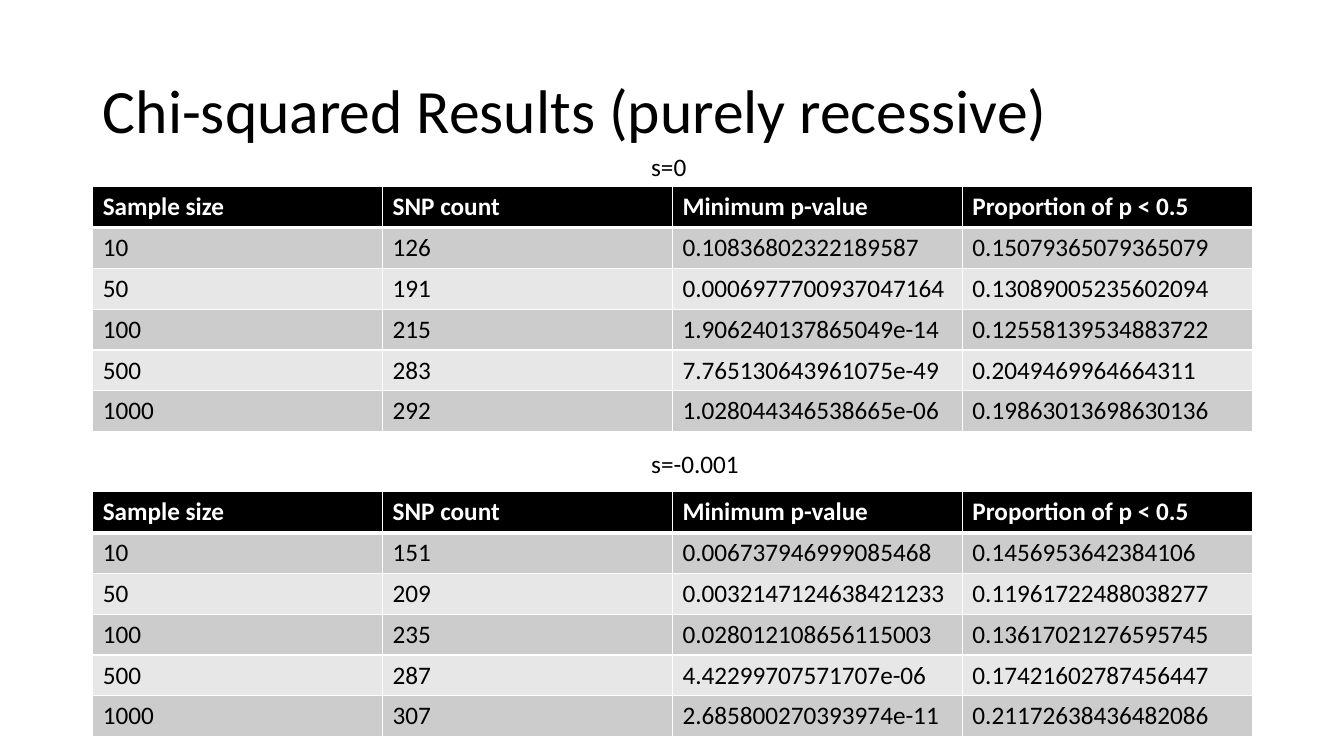
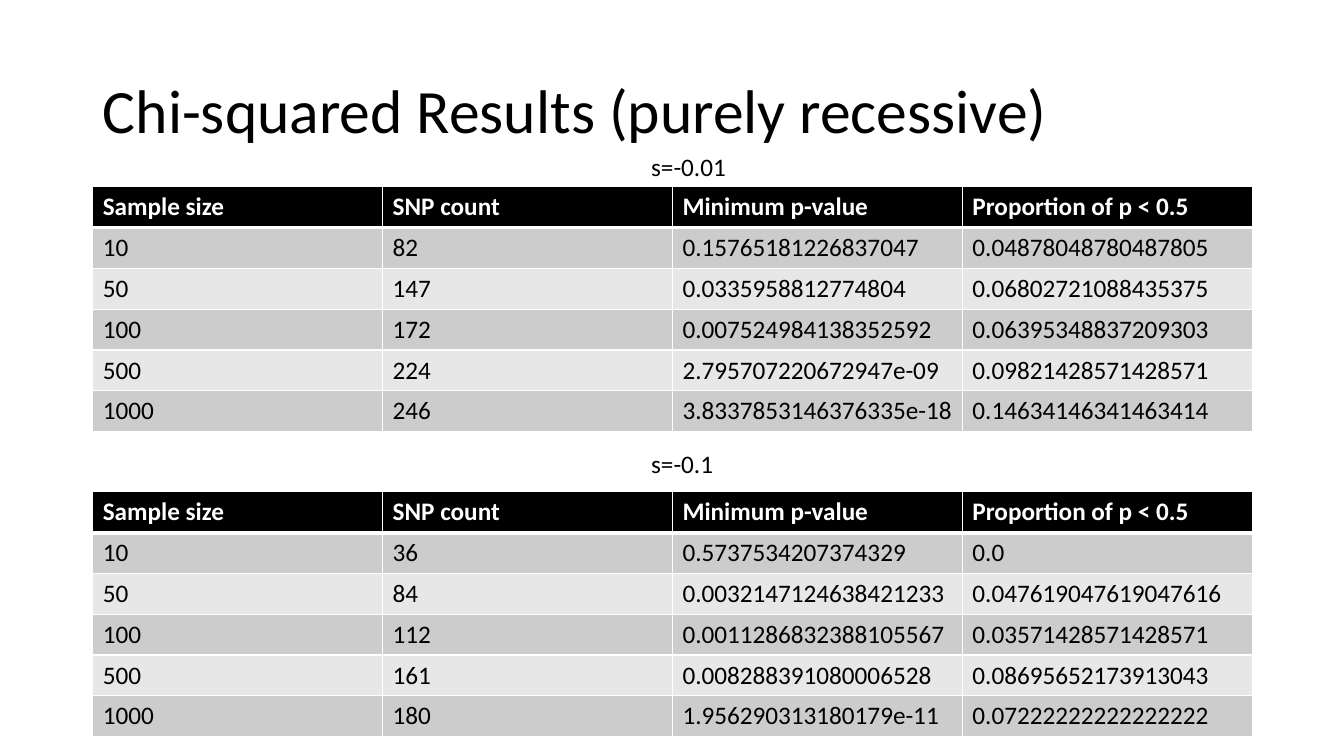
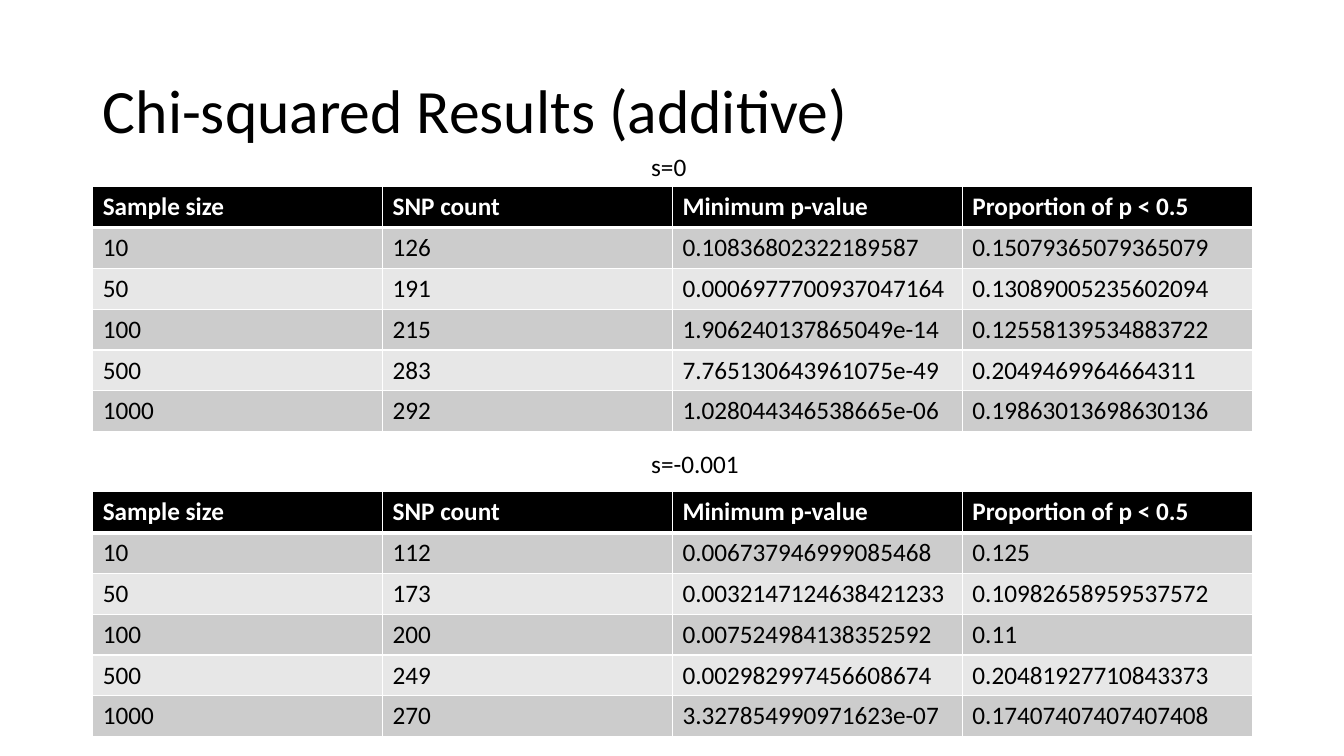
from lxml.etree import SubElement
from pptx import Presentation
from pptx.dml.color import RGBColor
from pptx.enum.text import MSO_ANCHOR, MSO_AUTO_SIZE, PP_ALIGN
from pptx.oxml.ns import qn
from pptx.util import Pt

SCALE = 9144
FONT = "Calibri"
BLACK, WHITE = "000000", "FFFFFF"
BANDS = ["E7E7E7", "CCCCCC"]
LEFT, WIDTH, TABLE_HEIGHT = 92, 1150, 243
LABEL_LEFT, LABEL_HEIGHT = 636, 40
LABEL_TOPS = [145, 440]
TABLE_TOPS = [185, 488]
HEADINGS = ["Sample size", "SNP count", "Minimum p-value", "Proportion of p < 0.5"]
SAMPLE_SIZES = ["10", "50", "100", "500", "1000"]

neutral = [
    ("126", "0.10836802322189587", "0.15079365079365079"),
    ("191", "0.0006977700937047164", "0.13089005235602094"),
    ("215", "1.906240137865049e-14", "0.12558139534883722"),
    ("283", "7.765130643961075e-49", "0.2049469964664311"),
    ("292", "1.028044346538665e-06", "0.19863013698630136"),
]
recessive_weak = [
    ("151", "0.006737946999085468", "0.1456953642384106"),
    ("209", "0.0032147124638421233", "0.11961722488038277"),
    ("235", "0.028012108656115003", "0.13617021276595745"),
    ("287", "4.42299707571707e-06", "0.17421602787456447"),
    ("307", "2.685800270393974e-11", "0.21172638436482086"),
]
recessive_medium = [
    ("82", "0.15765181226837047", "0.04878048780487805"),
    ("147", "0.0335958812774804", "0.06802721088435375"),
    ("172", "0.007524984138352592", "0.06395348837209303"),
    ("224", "2.795707220672947e-09", "0.09821428571428571"),
    ("246", "3.8337853146376335e-18", "0.14634146341463414"),
]
recessive_strong = [
    ("36", "0.5737534207374329", "0.0"),
    ("84", "0.0032147124638421233", "0.047619047619047616"),
    ("112", "0.0011286832388105567", "0.03571428571428571"),
    ("161", "0.008288391080006528", "0.08695652173913043"),
    ("180", "1.956290313180179e-11", "0.07222222222222222"),
]
additive_weak = [
    ("112", "0.006737946999085468", "0.125"),
    ("173", "0.0032147124638421233", "0.10982658959537572"),
    ("200", "0.007524984138352592", "0.11"),
    ("249", "0.002982997456608674", "0.20481927710843373"),
    ("270", "3.327854990971623e-07", "0.17407407407407408"),
]
pages = [
    ("Chi-squared Results (purely recessive)",
     [("s=0", 100, neutral), ("s=-0.001", 125, recessive_weak)]),
    ("Chi-squared Results (purely recessive)",
     [("s=-0.01", 100, recessive_medium), ("s=-0.1", 120, recessive_strong)]),
    ("Chi-squared Results (additive)",
     [("s=0", 100, neutral), ("s=-0.001", 145, additive_weak)]),
]


def add_run(para, text, size, colour, bold=False):
    span = para.add_run()
    span.text = text
    span.font.name = FONT
    span.font.size = Pt(size)
    span.font.bold = bold
    span.font.color.rgb = RGBColor.from_string(colour)


def add_borders(cell, top, bottom):
    properties = cell._tc.get_or_add_tcPr()
    widths = {"a:lnL": 1, "a:lnR": 1, "a:lnT": top, "a:lnB": bottom}
    for position, (side, width) in enumerate(widths.items()):
        line = SubElement(properties, qn(side), w=str(Pt(width)))
        fill = SubElement(line, qn("a:solidFill"))
        SubElement(fill, qn("a:srgbClr"), val=WHITE)
        properties.insert(position, line)


deck = Presentation()
deck.slide_width = 1333 * SCALE
deck.slide_height = 750 * SCALE
layout = deck.slide_layouts.get_by_name("Title Only")
layout_title = layout.placeholders[0]
layout_title.left, layout_title.top = LEFT * SCALE, 40 * SCALE
layout_title.width, layout_title.height = WIDTH * SCALE, 145 * SCALE

for heading, results in pages:
    page = deck.slides.add_slide(layout)
    frame = page.shapes.title.text_frame
    frame.vertical_anchor = MSO_ANCHOR.MIDDLE
    para = frame.paragraphs[0]
    para.alignment = PP_ALIGN.LEFT
    para.line_spacing = 0.9
    add_run(para, heading, 44, BLACK)

    for (label, label_width, values), label_top, table_top in zip(results, LABEL_TOPS, TABLE_TOPS):
        rows = [HEADINGS] + [(size, *row) for size, row in zip(SAMPLE_SIZES, values)]
        table = page.shapes.add_table(
            len(rows), len(HEADINGS), LEFT * SCALE, table_top * SCALE,
            WIDTH * SCALE, TABLE_HEIGHT * SCALE).table
        for row_number, row in enumerate(rows):
            is_header = row_number == 0
            for column_number, text in enumerate(row):
                cell = table.cell(row_number, column_number)
                cell.fill.solid()
                background = BLACK if is_header else BANDS[row_number % 2]
                cell.fill.fore_color.rgb = RGBColor.from_string(background)
                add_borders(cell, 3 if row_number == 1 else 1, 3 if is_header else 1)
                add_run(cell.text_frame.paragraphs[0], text, 18,
                        WHITE if is_header else BLACK, is_header)

        box = page.shapes.add_textbox(
            LABEL_LEFT * SCALE, label_top * SCALE, label_width * SCALE, LABEL_HEIGHT * SCALE)
        box.text_frame.word_wrap = True
        box.text_frame.auto_size = MSO_AUTO_SIZE.SHAPE_TO_FIT_TEXT
        add_run(box.text_frame.paragraphs[0], label, 18, BLACK)

deck.save("out.pptx")
